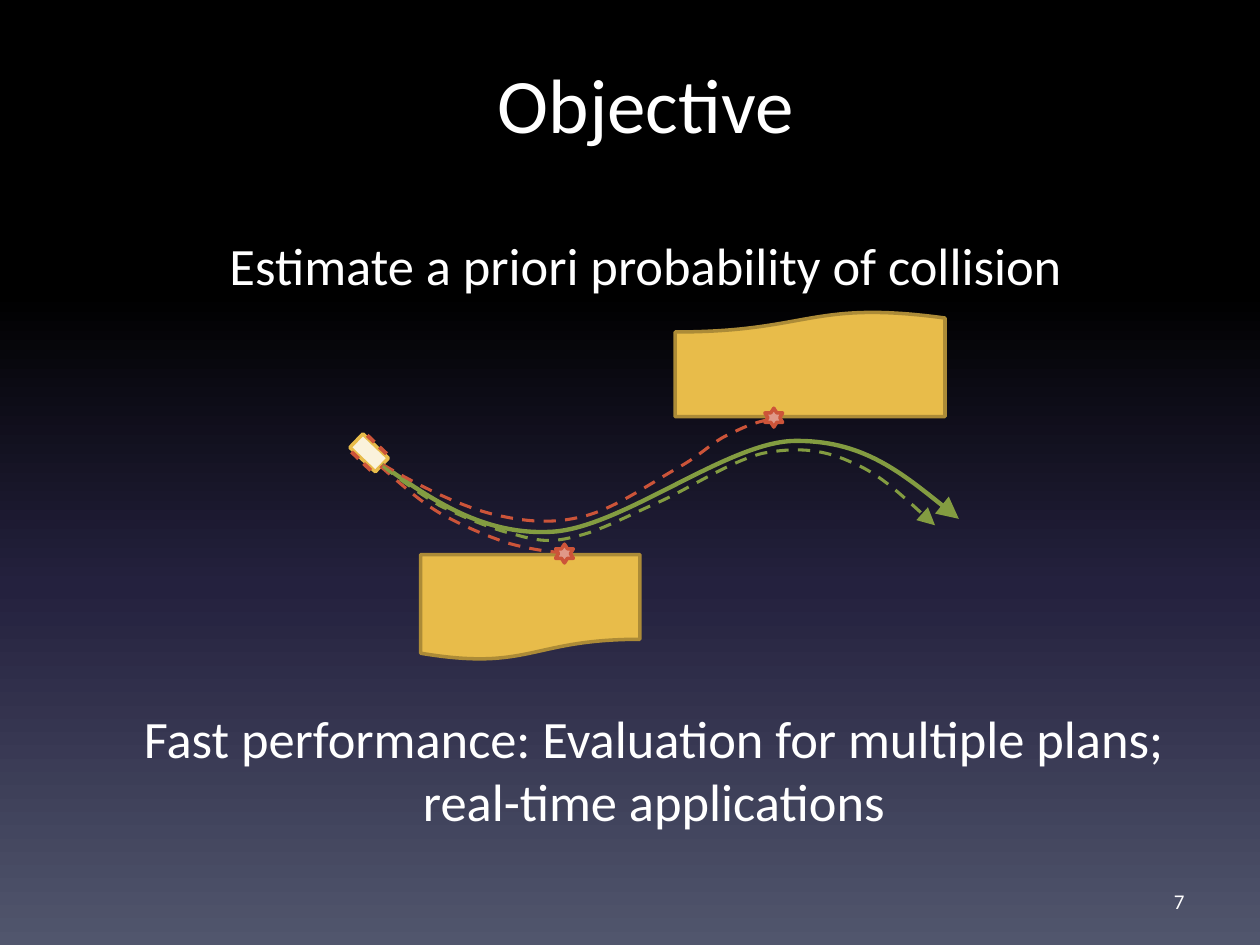
from itertools import product
from math import cos, radians, sin

from lxml.etree import SubElement
from pptx import Presentation
from pptx.dml.color import RGBColor
from pptx.enum.dml import MSO_LINE as Dash
from pptx.enum.shapes import MSO_SHAPE as Shape
from pptx.enum.text import MSO_ANCHOR as Anchor, MSO_AUTO_SIZE as AutoSize, PP_ALIGN as Align
from pptx.oxml.ns import qn
from pptx.util import Cm, Pt

COLORS = {
    "text": "FFFFFF", "obstacle": "E8BC4A", "obstacle_edge": "AC8B37",
    "car": "FAF2DB", "collision": "CC5439", "burst": "E09888", "safe": "839C41",
}
BACKGROUND = [(0, "000000"), (31, "000000"), (62, "24213E"), (100, "51566D")]

PLANNED = [
    (7.70, 9.37), (8.71, 10.08), (9.75, 10.80), (11.13, 10.72), (12.52, 10.64),
    (14.63, 8.94), (15.98, 8.89), (17.35, 8.86), (18.34, 9.65), (19.33, 10.46),
]
LOWER_CRASH = [
    (7.67, 9.40), (8.05, 9.73), (8.43, 10.08), (8.86, 10.34), (9.30, 10.59),
    (9.80, 10.80), (10.24, 10.95), (10.67, 11.07), (11.07, 11.13), (11.48, 11.15),
]
UPPER_CRASH = [
    (7.72, 9.37), (8.46, 9.80), (9.25, 10.19), (9.91, 10.36), (10.57, 10.52),
    (11.13, 10.57), (11.76, 10.41), (12.40, 10.26), (13.21, 9.68), (13.69, 9.42),
    (14.17, 9.14), (14.33, 8.94), (14.63, 8.79), (14.94, 8.64), (15.19, 8.51),
    (15.52, 8.46),
]
SAFE_RUN = [
    (7.72, 9.40), (8.08, 9.68), (8.43, 9.93), (8.86, 10.19), (9.30, 10.41),
    (9.93, 10.67), (10.36, 10.77), (10.82, 10.90), (11.10, 10.95), (11.58, 10.82),
    (12.07, 10.72), (12.67, 10.39), (13.31, 10.11), (13.92, 9.83), (14.73, 9.30),
    (15.37, 9.14), (16.00, 9.02), (16.54, 9.04), (17.12, 9.30), (17.70, 9.53),
    (18.26, 10.06), (18.85, 10.59),
]


def rgb(name):
    return RGBColor.from_string(COLORS[name])


class Deck:
    font = "Calibri"

    def __init__(self):
        self.prs = Presentation()
        self.prs.slide_width, self.prs.slide_height = Cm(25.4), Cm(19.05)
        self.slide = self.prs.slides.add_slide(self.prs.slide_layouts[1])

    def background(self, stops):
        fill = self.slide.background.fill
        fill.gradient()
        fill.gradient_angle = 270
        gs_list = self.slide._element.find(".//" + qn("a:gsLst"))
        for gs in list(gs_list):
            gs_list.remove(gs)
        for pos, color in stops:
            gs = SubElement(gs_list, qn("a:gs"), pos=str(pos * 1000))
            SubElement(gs, qn("a:srgbClr"), val=color)

    def place(self, sp, left, top, width, height):
        sp.left, sp.top, sp.width, sp.height = Cm(left), Cm(top), Cm(width), Cm(height)

    def format(self, sp, size, align, anchor):
        tf = sp.text_frame
        tf.word_wrap = True
        tf.auto_size = AutoSize.NONE
        tf.vertical_anchor = anchor
        for p in tf.paragraphs:
            p.alignment = align
            for r in p.runs:
                r.font.name, r.font.size = self.font, Pt(size)
                r.font.color.rgb = rgb("text")

    def title(self, text, box):
        sp = self.slide.shapes.title
        self.place(sp, *box)
        sp.text_frame.text = text
        self.format(sp, 44, Align.CENTER, Anchor.TOP)

    def body(self, items, box):
        sp = self.slide.placeholders[1]
        self.place(sp, *box)
        tf = sp.text_frame
        for i, (text, margin, before) in enumerate(items):
            p = tf.add_paragraph() if i else tf.paragraphs[0]
            p.text = text
            pPr = p._p.get_or_add_pPr()
            pPr.set("marL", str(Cm(margin)))
            pPr.set("indent", "0")
            SubElement(pPr, qn("a:buNone"))
            p.space_before = Pt(before)
        self.format(sp, 30, Align.CENTER, Anchor.TOP)

    def page_number(self, text, box):
        sp = self.slide.shapes.add_textbox(*map(Cm, box))
        sp.text_frame.text = text
        self.format(sp, 12, Align.RIGHT, Anchor.MIDDLE)

    def shape(self, kind, box, fill, edge=None, rotation=0):
        sp = self.slide.shapes.add_shape(kind, *map(Cm, box))
        sp.shadow.inherit = False
        sp.rotation = rotation
        sp.fill.solid()
        sp.fill.fore_color.rgb = rgb(fill)
        if edge:
            sp.line.color.rgb = rgb(edge)
            sp.line.width = Pt(2)
        else:
            sp.line.fill.background()

    def curve(self, points, color, width=1.75, dashed=True, arrow=False):
        start, *rest = [(Cm(x), Cm(y)) for x, y in points]
        builder = self.slide.shapes.build_freeform(*start)
        builder.add_line_segments(rest, close=False)
        sp = builder.convert_to_shape()
        outline = sp._element.find(".//" + qn("a:path"))
        for i, segment in enumerate(outline.findall(qn("a:lnTo"))):
            if i % 3 == 0:
                bezier = SubElement(outline, qn("a:cubicBezTo"))
            bezier.append(segment[0])
            outline.remove(segment)
        sp.shadow.inherit = False
        sp.fill.background()
        sp.line.color.rgb = rgb(color)
        sp.line.width = Pt(width)
        if dashed:
            sp.line.dash_style = Dash.DASH
        if arrow:
            ln = sp._element.spPr.find(qn("a:ln"))
            SubElement(ln, qn("a:tailEnd"), type="triangle", w="lg", len="lg")

    def car(self, x, y, angle):
        def centred(cx, cy, width, height):
            return cx - width / 2, cy - height / 2, width, height

        self.shape(Shape.RECTANGLE, centred(x, y, 0.71, 0.38), "car", "obstacle", angle)
        c, s = cos(radians(angle)), sin(radians(angle))
        for along, across in product((-0.17, 0.17), (-0.23, 0.23)):
            wheel = centred(x + along * c - across * s, y + along * s + across * c, 0.2, 0.08)
            self.shape(Shape.RECTANGLE, wheel, "collision", rotation=angle)

    def obstacle(self, box, rotation=0):
        self.shape(Shape.FLOWCHART_DOCUMENT, box, "obstacle", "obstacle_edge", rotation)

    def burst(self, left, top):
        self.shape(Shape.STAR_6_POINT, (left, top, 0.36, 0.38), "burst", "collision")


def main():
    deck = Deck()
    deck.background(BACKGROUND)
    deck.title("Objective", (1.27, 1.02, 23.5, 3.18))
    deck.body([
        ("Estimate a priori probability of collision", 0.64, 0),
        ("Fast performance: Evaluation for multiple plans; real-time applications", 0.97, 234),
    ], (1.27, 4.58, 22.86, 13.56))
    deck.page_number("7", (18.21, 17.65, 5.92, 1.02))
    deck.car(7.44, 9.13, 43.7)
    deck.curve(PLANNED, "safe", width=2.5, dashed=False, arrow=True)
    deck.obstacle((8.48, 11.18, 4.42, 2.13))
    deck.obstacle((13.61, 6.27, 5.44, 2.13), rotation=180)
    deck.curve(LOWER_CRASH, "collision")
    deck.burst(11.2, 10.97)
    deck.curve(UPPER_CRASH, "collision")
    deck.burst(15.42, 8.23)
    deck.curve(SAFE_RUN, "safe", arrow=True)
    deck.prs.save("out.pptx")


if __name__ == "__main__":
    main()
